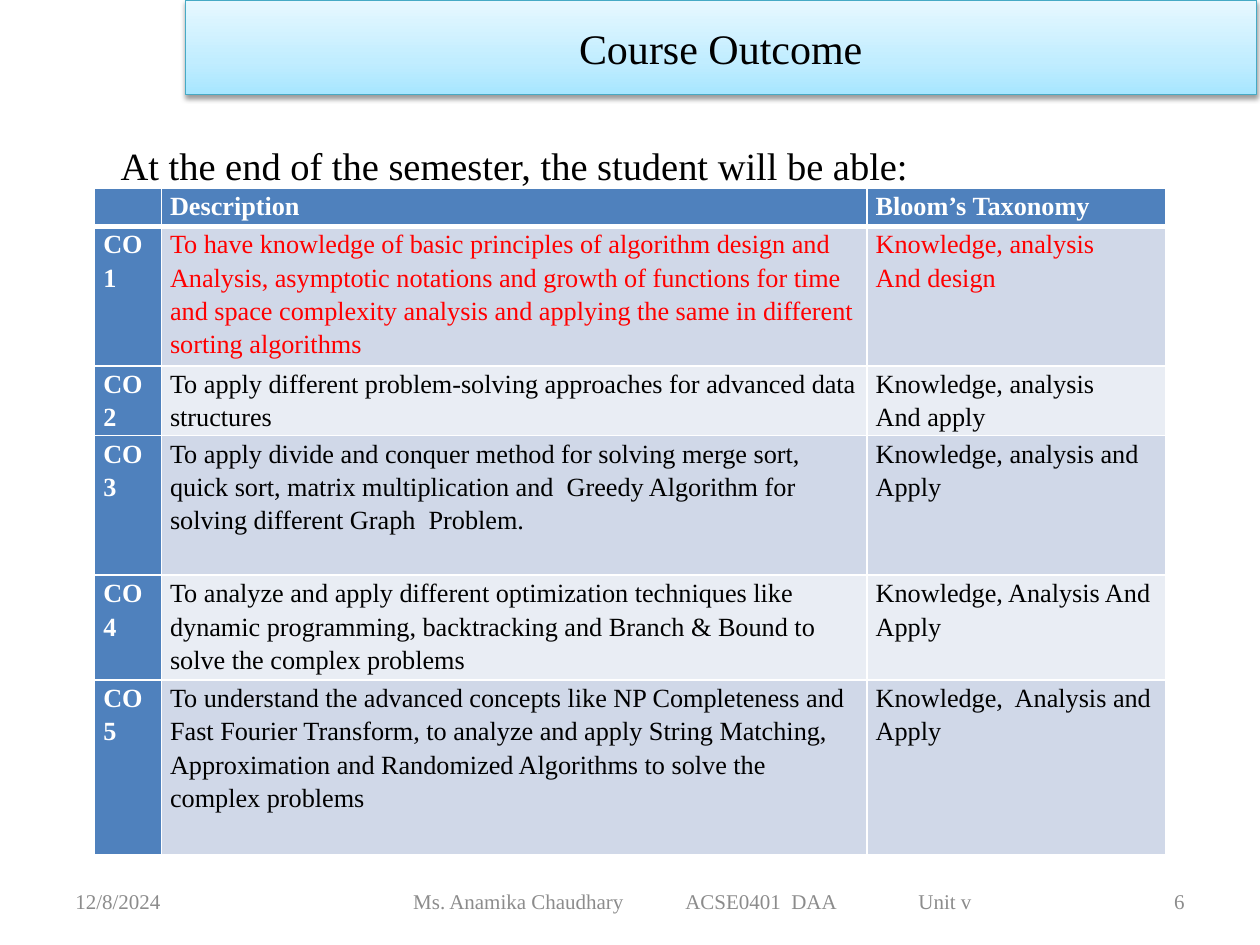
from dataclasses import dataclass

import lxml.etree
import pptx
import pptx.dml.color
import pptx.enum.shapes
import pptx.enum.text
import pptx.oxml
import pptx.oxml.ns
import pptx.util

Align = pptx.enum.text.PP_ALIGN
Anchor = pptx.enum.text.MSO_ANCHOR
FONT = "Times New Roman"
COLORS = {
    "header": "4F81BD", "band_dark": "D0D8E8", "band_light": "E9EDF4",
    "white": "FFFFFF", "black": "000000", "red": "FF0000", "muted": "8C8C8C",
    "title_line": "46AAC5", "title_low": "A7E6FF", "title_mid": "C1EDFF",
    "title_high": "E7F8FF",
}
GRID_COLUMNS, GRID_ROWS = 100, 75
SLIDE_WIDTH, SLIDE_HEIGHT = pptx.util.Inches(10), pptx.util.Inches(7.5)
TABLE_COLUMNS = (5.3, 56, 23.7)
TEXT_ROW = 2.77  # grid rows taken by one line of table text


@dataclass(frozen=True)
class Area:
    """A place on the slide in grid columns and rows."""
    left: float
    top: float
    width: float
    height: float


@dataclass(frozen=True)
class TextStyle:
    size: float
    color: str
    bold: bool = False
    align: Align = Align.LEFT


@dataclass(frozen=True)
class Outcome:
    code: str
    description: str
    taxonomy: tuple[str, ...]
    lines: int
    color: str = "black"


@dataclass(frozen=True)
class FooterItem:
    text: str
    area: Area
    align: Align = Align.LEFT
    inset: float = 1
    tabs: tuple[float, ...] = ()


OUTCOMES = (
    Outcome("CO1", "To have knowledge of basic principles of algorithm design and "
            "Analysis, asymptotic notations and growth of functions for time and space "
            "complexity analysis and applying the same in different sorting algorithms",
            ("Knowledge, analysis", "And design"), 4, "red"),
    Outcome("CO2", "To apply different problem-solving approaches for advanced data "
            "structures", ("Knowledge, analysis", "And apply"), 2),
    Outcome("CO3", "To apply divide and conquer method for solving merge sort, quick "
            "sort, matrix multiplication and  Greedy Algorithm for solving different "
            "Graph  Problem.", ("Knowledge, analysis and Apply",), 4),
    Outcome("CO4", "To analyze and apply different optimization techniques like dynamic "
            "programming, backtracking and Branch & Bound to solve the complex problems",
            ("Knowledge, Analysis And Apply",), 3),
    Outcome("CO5", "To understand the advanced concepts like NP Completeness and Fast "
            "Fourier Transform, to analyze and apply String Matching, Approximation and "
            "Randomized Algorithms to solve the complex problems",
            ("Knowledge,  Analysis and Apply",), 5),
)
FOOTER = (
    FooterItem("12/8/2024", Area(5, 69.5, 23.3, 4)),
    FooterItem("Ms. Anamika Chaudhary\tACSE0401  DAA\tUnit v",
               Area(27.5, 69.5, 55, 4), inset=5.3, tabs=(21.6, 40.1)),
    FooterItem("6", Area(71.7, 69.5, 23.3, 4), Align.RIGHT),
)


def across(columns: float) -> int:
    return round(SLIDE_WIDTH * columns / GRID_COLUMNS)


def down(rows: float) -> int:
    return round(SLIDE_HEIGHT * rows / GRID_ROWS)


def box(area: Area) -> tuple[int, int, int, int]:
    return across(area.left), down(area.top), across(area.width), down(area.height)


def rgb(name: str) -> pptx.dml.color.RGBColor:
    return pptx.dml.color.RGBColor.from_string(COLORS[name])


def child(parent, tag: str, **attributes):
    element = lxml.etree.SubElement(parent, pptx.oxml.ns.qn(tag))
    for name, value in attributes.items():
        element.set(name, str(value))
    return element


def write(paragraph, text: str, style: TextStyle, line_spacing: float = 1.0) -> None:
    paragraph.alignment = style.align
    paragraph.line_spacing = line_spacing
    run = paragraph.add_run()
    run.text = text
    run.font.name = FONT
    run.font.size = pptx.util.Pt(style.size)
    run.font.bold = style.bold
    run.font.color.rgb = rgb(style.color)


def add_title(slide) -> None:
    title = slide.shapes.title
    title.left, title.top, title.width, title.height = box(Area(14.7, 0, 85, 7.5))
    properties = title._element.spPr
    child(child(properties, "a:prstGeom", prst="rect"), "a:avLst")
    gradient = child(properties, "a:gradFill", rotWithShape=1)
    stops = child(gradient, "a:gsLst")
    for percent, name in ((0, "title_low"), (35, "title_mid"), (100, "title_high")):
        child(child(stops, "a:gs", pos=percent * 1000), "a:srgbClr", val=COLORS[name])
    child(gradient, "a:lin", ang=270 * 60000, scaled=1)
    title.line.color.rgb = rgb("title_line")
    title.line.width = pptx.util.Pt(0.75)
    shadow = child(child(properties, "a:effectLst"), "a:outerShdw",
                   blurRad=pptx.util.Pt(3.1), dist=pptx.util.Pt(1.6),
                   dir=90 * 60000, rotWithShape=0)
    child(child(shadow, "a:srgbClr", val=COLORS["black"]), "a:alpha", val=38000)
    title.text_frame.vertical_anchor = Anchor.MIDDLE
    write(title.text_frame.paragraphs[0], "Course Outcome",
          TextStyle(24, "black", align=Align.CENTER))


def add_introduction(slide) -> None:
    frame = slide.shapes.add_textbox(*box(Area(8.6, 10.2, 85, 5))).text_frame
    frame.word_wrap = True
    frame.auto_size = pptx.enum.text.MSO_AUTO_SIZE.SHAPE_TO_FIT_TEXT
    frame.paragraphs[0].space_after = pptx.util.Pt(10)
    write(frame.paragraphs[0], "At the end of the semester, the student will be able:",
          TextStyle(22, "black"), 1.15)


def fill_cell(cell, texts: tuple[str, ...], style: TextStyle, fill: str,
              top: float, bottom: float) -> None:
    """Write the paragraphs of a cell and set its borders (points) and fill."""
    cell.margin_left = cell.margin_right = across(0.7)
    cell.margin_top = cell.margin_bottom = 0
    properties = cell._tc.get_or_add_tcPr()
    for side, points in (("L", 1), ("R", 1), ("T", top), ("B", bottom)):
        border = child(properties, f"a:ln{side}", w=pptx.util.Pt(points))
        child(child(border, "a:solidFill"), "a:srgbClr", val=COLORS["white"])
    cell.fill.solid()
    cell.fill.fore_color.rgb = rgb(fill)
    for index, text in enumerate(texts):
        frame = cell.text_frame
        paragraph = frame.add_paragraph() if index else frame.paragraphs[0]
        write(paragraph, text, style, 1.15)


def add_outcome_table(slide) -> None:
    line_counts = [1] + [outcome.lines for outcome in OUTCOMES]
    area = Area(7.5, 14.9, sum(TABLE_COLUMNS), sum(line_counts) * TEXT_ROW)
    table = slide.shapes.add_table(len(line_counts), len(TABLE_COLUMNS), *box(area)).table
    for column, width in zip(table.columns, TABLE_COLUMNS):
        column.width = across(width)
    for row, lines in zip(table.rows, line_counts):
        row.height = down(lines * TEXT_ROW)
    heading = TextStyle(15, "white", bold=True)
    for column, label in enumerate(("", "Description", "Bloom’s Taxonomy")):
        fill_cell(table.cell(0, column), (label,) if label else (), heading, "header", 1, 3)
    for row, outcome in enumerate(OUTCOMES, start=1):
        band = "band_dark" if row % 2 else "band_light"
        top = 3 if row == 1 else 1
        body = TextStyle(15, outcome.color)
        fill_cell(table.cell(row, 0), (outcome.code,), heading, "header", top, 1)
        fill_cell(table.cell(row, 1), (outcome.description,), body, band, top, 1)
        fill_cell(table.cell(row, 2), outcome.taxonomy, body, band, top, 1)


def add_footer_item(slide, item: FooterItem) -> None:
    frame = slide.shapes.add_textbox(*box(item.area)).text_frame
    frame.word_wrap = True
    frame.vertical_anchor = Anchor.MIDDLE
    frame.margin_left = across(item.inset)
    paragraph = frame.paragraphs[0]
    if item.tabs:
        stops = child(paragraph._p.get_or_add_pPr(), "a:tabLst")
        for position in item.tabs:
            child(stops, "a:tab", pos=across(position), algn="l")
    write(paragraph, item.text, TextStyle(12, "muted", align=item.align))


def main() -> None:
    deck = pptx.Presentation()
    deck.slide_width, deck.slide_height = SLIDE_WIDTH, SLIDE_HEIGHT
    slide = deck.slides.add_slide(deck.slide_layouts.get_by_name("Title Only"))
    add_outcome_table(slide)
    for item in FOOTER:
        add_footer_item(slide, item)
    add_title(slide)
    add_introduction(slide)
    deck.save("out.pptx")


if __name__ == "__main__":
    main()
